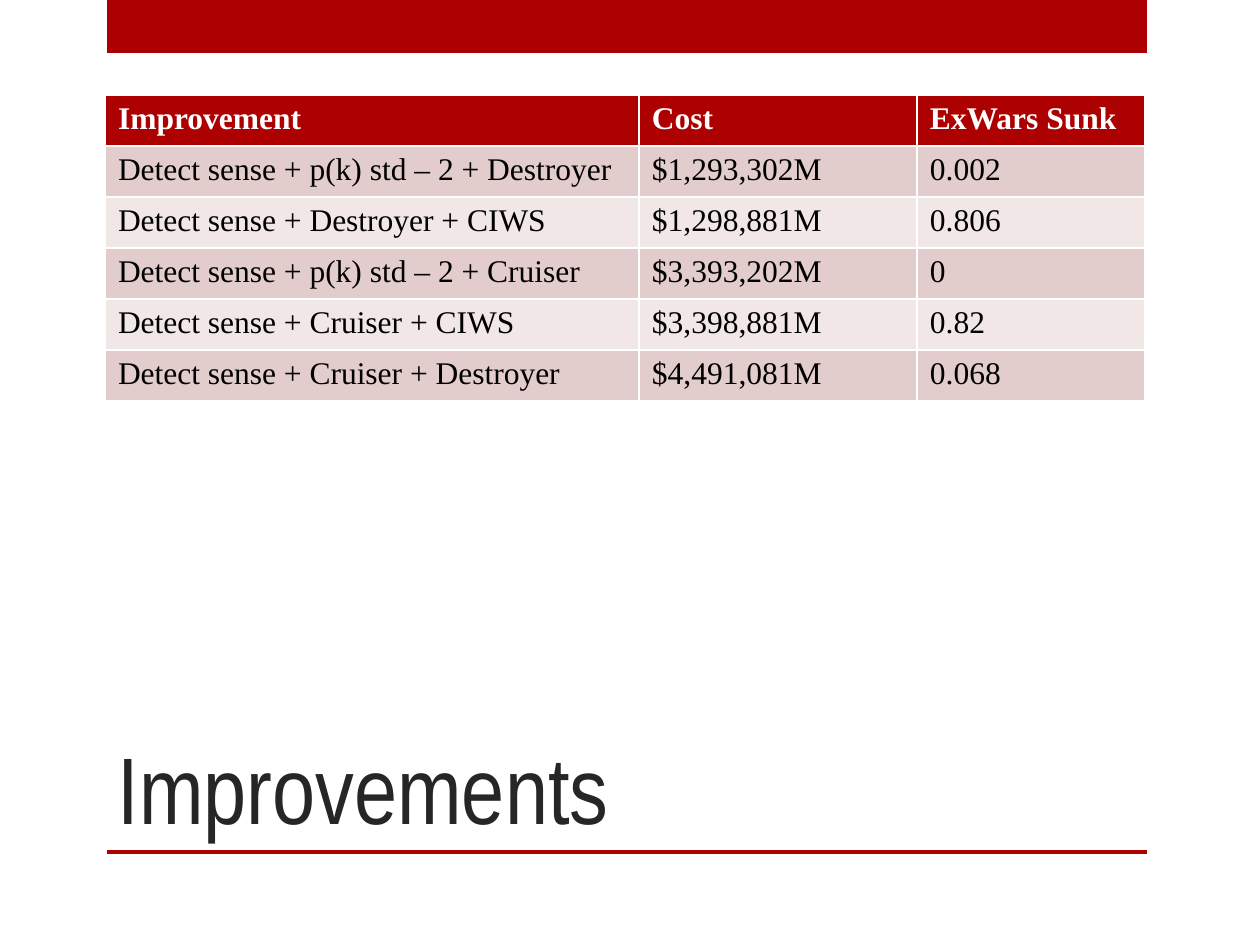
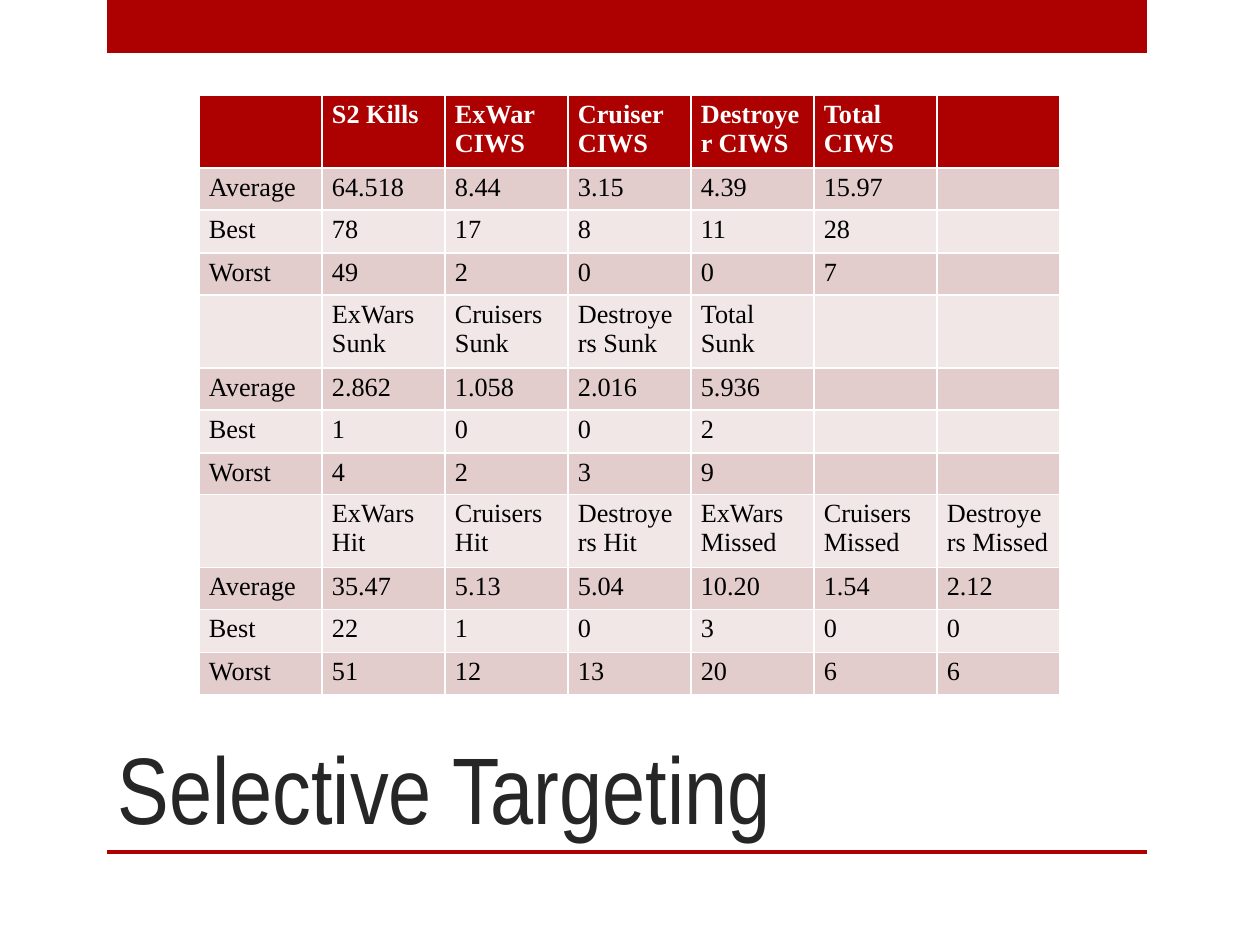
from dataclasses import dataclass

from pptx import Presentation
from pptx import util as u
from pptx.dml.color import RGBColor
from pptx.enum import shapes, text

COLORS = {
    "red": "AD0101",
    "ink": "262626",
    "black": "000000",
    "white": "FFFFFF",
    "dark": "E3CCCC",
    "light": "F1E7E7",
}
SCALE = u.Inches(1) / 126  # EMU in one px
SERIF = "Times New Roman"
NARROW = "Arial Narrow"


@dataclass(frozen=True)
class Box:
    left: int
    top: int
    width: int
    height: int

    def emu(self) -> tuple:
        return tuple(map(px, (self.left, self.top, self.width, self.height)))


@dataclass(frozen=True)
class Grid:
    left: int
    cols: list[int]
    rows: list[int]
    size: int
    inset: tuple[int, int]
    cells: list[list[str]]


BANDS = [Box(107, 0, 1040, 53), Box(107, 850, 1040, 4)]
TITLE = Box(105, 630, 935, 220)
TOP = 95

COSTS = Grid(
    105, [534, 278, 228], [51] * 6, 18, (13, 6),
    [
        ["Improvement", "Cost", "ExWars Sunk"],
        ["Detect sense + p(k) std – 2 + Destroyer", "$1,293,302M", "0.002"],
        ["Detect sense + Destroyer + CIWS", "$1,298,881M", "0.806"],
        ["Detect sense + p(k) std – 2 + Cruiser", "$3,393,202M", "0"],
        ["Detect sense + Cruiser + CIWS", "$3,398,881M", "0.82"],
        ["Detect sense + Cruiser + Destroyer", "$4,491,081M", "0.068"],
    ],
)
KILLS = Grid(
    199, [123] * 7, [73, 42, 43, 42] * 3, 15, (10, 5),
    [
        ["", "S2 Kills", "ExWar CIWS", "Cruiser CIWS", "Destroyer CIWS", "Total CIWS", ""],
        ["Average", "64.518", "8.44", "3.15", "4.39", "15.97", ""],
        ["Best", "78", "17", "8", "11", "28", ""],
        ["Worst", "49", "2", "0", "0", "7", ""],
        ["", "ExWars Sunk", "Cruisers Sunk", "Destroyers Sunk", "Total Sunk", "", ""],
        ["Average", "2.862", "1.058", "2.016", "5.936", "", ""],
        ["Best", "1", "0", "0", "2", "", ""],
        ["Worst", "4", "2", "3", "9", "", ""],
        ["", "ExWars Hit", "Cruisers Hit", "Destroyers Hit",
         "ExWars Missed", "Cruisers Missed", "Destroyers Missed"],
        ["Average", "35.47", "5.13", "5.04", "10.20", "1.54", "2.12"],
        ["Best", "22", "1", "0", "3", "0", "0"],
        ["Worst", "51", "12", "13", "20", "6", "6"],
    ],
)


def px(length: int) -> int:
    return round(length * SCALE)


def paint(fill, name: str) -> None:
    fill.solid()
    fill.fore_color.rgb = RGBColor.from_string(COLORS[name])


def style(font, face: str, size: int, color: str, bold: bool = False) -> None:
    font.name = face
    font.size = u.Pt(size)
    font.bold = bold
    font.color.rgb = RGBColor.from_string(COLORS[color])


def add_page(deck, title: str):
    """Add a slide with the shared bands and its title."""
    page = deck.slides.add_slide(deck.slide_layouts[5])
    for box in BANDS:
        band = page.shapes.add_shape(shapes.MSO_SHAPE.RECTANGLE, *box.emu())
        band.shadow.inherit = False
        paint(band.fill, "red")
        band.line.fill.background()
    head = page.shapes.title
    head.left, head.top, head.width, head.height = TITLE.emu()
    frame = head.text_frame
    frame.text = title
    frame.auto_size = text.MSO_AUTO_SIZE.NONE
    frame.vertical_anchor = text.MSO_ANCHOR.BOTTOM
    para = frame.paragraphs[0]
    para.alignment = text.PP_ALIGN.LEFT
    style(para.font, NARROW, 54, "ink")
    return page


def add_grid(page, grid: Grid) -> None:
    """Draw a table with a red head and banded rows."""
    box = Box(grid.left, TOP, sum(grid.cols), sum(grid.rows))
    table = page.shapes.add_table(len(grid.rows), len(grid.cols), *box.emu()).table
    for col, width in zip(table.columns, grid.cols):
        col.width = px(width)
    side, edge = map(px, grid.inset)
    for i, (row, height) in enumerate(zip(table.rows, grid.rows)):
        row.height = px(height)
        fill = "red" if i == 0 else ("light", "dark")[i % 2]
        ink = "white" if i == 0 else "black"
        for cell, words in zip(row.cells, grid.cells[i]):
            cell.text = words
            cell.margin_left = cell.margin_right = side
            cell.margin_top = cell.margin_bottom = edge
            paint(cell.fill, fill)
            style(cell.text_frame.paragraphs[0].font, SERIF, grid.size, ink, i == 0)


def main() -> None:
    deck = Presentation()
    deck.slide_width, deck.slide_height = px(1260), px(945)
    for title, grid in (("Improvements", COSTS), ("Selective Targeting", KILLS)):
        add_grid(add_page(deck, title), grid)
    deck.save("out.pptx")


if __name__ == "__main__":
    main()
